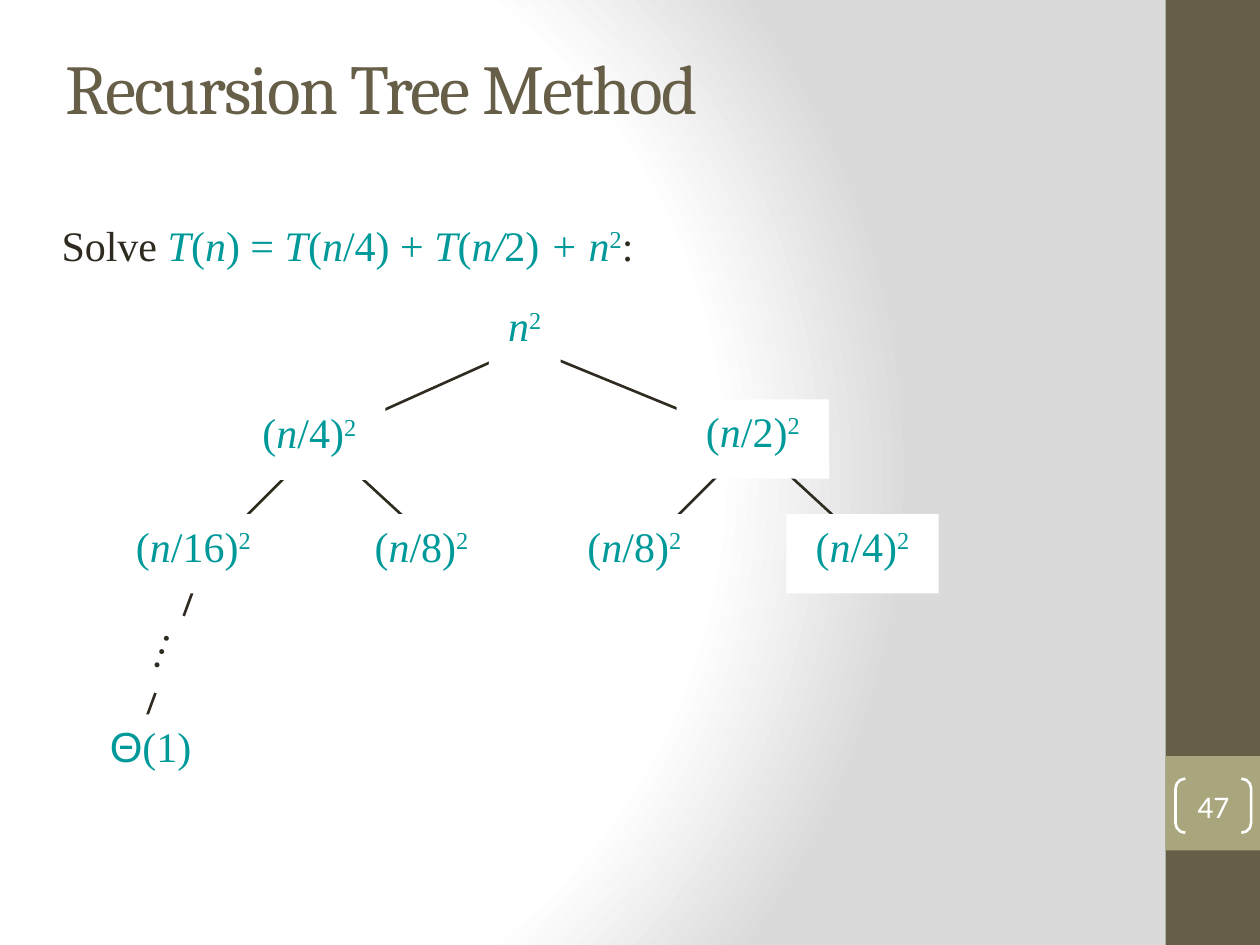
from pptx import Presentation
from pptx.dml.color import RGBColor
from pptx.enum.shapes import MSO_CONNECTOR, MSO_SHAPE
from pptx.enum.text import MSO_ANCHOR, PP_ALIGN
from pptx.oxml import parse_xml
from pptx.oxml.ns import nsdecls, qn
from pptx.util import Inches, Pt

RECTANGLE = MSO_SHAPE.RECTANGLE
BRACKETS = MSO_SHAPE.DOUBLE_BRACKET
STRAIGHT = MSO_CONNECTOR.STRAIGHT
TOP, MIDDLE = MSO_ANCHOR.TOP, MSO_ANCHOR.MIDDLE
LEFT, CENTER = PP_ALIGN.LEFT, PP_ALIGN.CENTER

BROWN = RGBColor(0x67, 0x5E, 0x47)
OLIVE = RGBColor(0xA9, 0xA5, 0x7C)
INK = RGBColor(0x2F, 0x2B, 0x20)
TEAL = RGBColor(0x00, 0x99, 0x99)
WHITE = RGBColor(0xFF, 0xFF, 0xFF)
GRAY = RGBColor(0xDA, 0xDA, 0xDA)
SERIF = "Times New Roman"


def add_box(left, top, width, height, fill=None, kind=RECTANGLE):
    shape = slide.shapes.add_shape(kind, Inches(left), Inches(top), Inches(width), Inches(height))
    shape.shadow.inherit = False
    shape.line.fill.background()
    if fill is None:
        shape.fill.background()
    else:
        shape.fill.solid()
        shape.fill.fore_color.rgb = fill
    return shape


def write(shape, pieces, color=TEAL, size=24, font=SERIF, align=CENTER, anchor=TOP):
    frame = shape.text_frame
    frame.word_wrap = False
    frame.vertical_anchor = anchor
    paragraph = frame.paragraphs[0]
    paragraph.alignment = align
    for text, style in pieces:
        run = paragraph.add_run()
        run.text = text
        run.font.name = font
        run.font.size = Pt(size)
        run.font.color.rgb = color
        run.font.italic = style == "italic"
        if style == "super":
            run.font._element.set("baseline", "30000")
    return paragraph.runs


presentation = Presentation()
presentation.slide_width = Inches(10)
presentation.slide_height = Inches(7.5)
slide = presentation.slides.add_slide(presentation.slide_layouts[6])

slide.background.fill.gradient()
gradient = next(slide.element.iter(qn("a:gradFill")))
stops = "".join(
    f'<a:gs pos="{position}000"><a:srgbClr val="{color}"/></a:gs>'
    for position, color in ((0, WHITE), (75, WHITE), (100, GRAY))
)
gradient.getparent().replace(gradient, parse_xml(
    f'<a:gradFill {nsdecls("a")} rotWithShape="1"><a:gsLst>{stops}</a:gsLst>'
    '<a:path path="circle"><a:fillToRect l="20000" t="50000" r="100000" b="50000"/></a:path>'
    '</a:gradFill>'
))

add_box(9.25, 0, 0.75, 7.5, BROWN)
add_box(9.25, 6, 0.75, 0.75, OLIVE)

root, left_child, right_child = (4.17, 2.75), (2.55, 3.5), (5.97, 3.5)
left_leaf = (1.63, 4.42)
branches = [
    (root, (2.5, 3.5)),
    (root, (6, 3.5)),
    (left_leaf, (1.05, 6)),
    (left_child, left_leaf),
    (right_child, (5.05, 4.42)),
    (right_child, (6.97, 4.42)),
    (left_child, (3.55, 4.42)),
]
for start, end in branches:
    connector = slide.shapes.add_connector(STRAIGHT, *(Inches(value) for value in start + end))
    connector.line.color.rgb = INK
    connector.line.width = Pt(1.5)
    connector._element.spPr.append(parse_xml(f'<a:effectLst {nsdecls("a")}/>'))

nodes = [
    (0.82, 4.08, 1.43, 16),
    (2.74, 4.08, 1.21, 8),
    (4.43, 4.08, 1.21, 8),
    (6.24, 4.08, 1.21, 4),
    (1.85, 3.18, 1.21, 4),
    (5.37, 3.17, 1.21, 2),
]
for left, top, width, divisor in nodes:
    node = add_box(left, top, width, 0.63, WHITE)
    write(node, [("(", ""), ("n", "italic"), (f"/{divisor})", ""), ("2", "super")])

base_case = add_box(0.67, 5.67, 1.05, 0.63, WHITE)
theta = write(base_case, [("Θ", ""), ("(1)", "")])[0]
theta.font.name = "Arial"

ellipsis = add_box(0.91, 4.84, 0.65, 0.63, WHITE)
ellipsis.rotation = 289.4
write(ellipsis, [("…", "")], INK)

recurrence = slide.shapes.add_textbox(Inches(0.39), Inches(1.69), Inches(6.27), Inches(0.63))
recurrence_runs = write(recurrence, [
    ("Solve ", ""), ("T", "italic"), ("(", ""), ("n", "italic"), (") = ", ""),
    ("T", "italic"), ("(", ""), ("n", "italic"), ("/4) + ", ""),
    ("T", "italic"), ("(", ""), ("n/", "italic"), ("2)", ""),
    (" + n", "italic"), ("2", "super"), (":", ""),
], align=LEFT)
for run in (recurrence_runs[0], recurrence_runs[-1]):
    run.font.color.rgb = INK

root_node = add_box(3.88, 2.33, 0.57, 0.63, WHITE)
write(root_node, [("n", "italic"), ("2", "super")])

page_number = add_box(9.33, 6.18, 0.6, 0.43, kind=BRACKETS)
page_number.adjustments[0] = 0.18
page_number.line.color.rgb = WHITE
page_number.line.width = Pt(1.5)
frame = page_number.text_frame
frame.margin_left = frame.margin_right = frame.margin_top = frame.margin_bottom = 0
write(page_number, [("47", "")], WHITE, 18, "Calibri", anchor=MIDDLE)

title = slide.shapes.add_textbox(Inches(0.42), Inches(0.17), Inches(9), Inches(1.03))
title_run = write(title, [("Recursion Tree Method", "")], BROWN, 40, "Cambria", LEFT, MIDDLE)[0]
title_run.font._element.set("spc", "-100")
title.text_frame.word_wrap = True

presentation.save("out.pptx")
